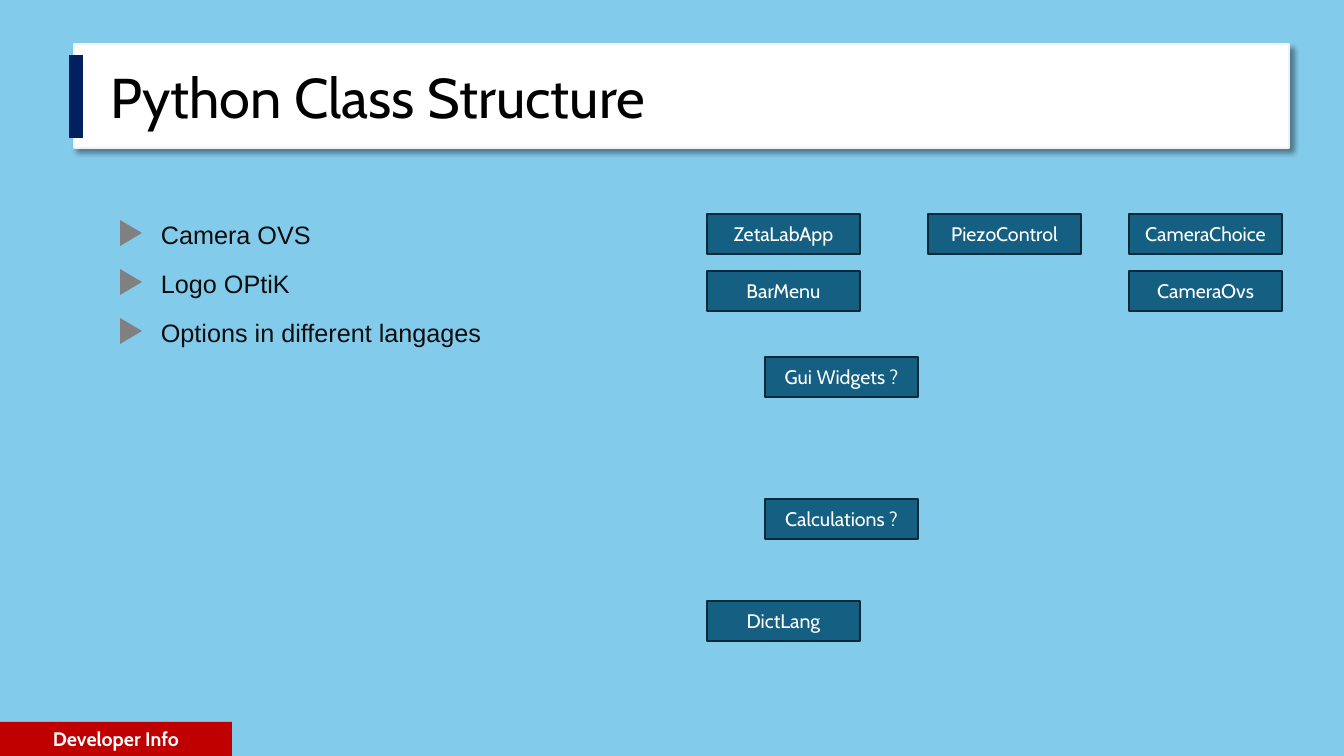
from lxml import etree
from pptx import Presentation
from pptx import util as u
from pptx.dml.color import RGBColor
from pptx.enum import shapes, text
from pptx.oxml import ns

EMU_PER_PX = 914400 / 100.8
COLORS = {
    "sky": "83CBEB", "white": "FFFFFF", "card_edge": "F2F2F2", "navy": "002060",
    "black": "000000", "ink": "0D0D0D", "marker": "808080",
    "class": "156082", "class_edge": "092A39", "footer": "C00000",
}
BULLETS = ["Camera OVS", "Logo OPtiK", "Options in different langages"]
BULLET_TOP, BULLET_PITCH = 214, 49
CLASS_WIDTH, CLASS_HEIGHT = 153, 40
CLASSES = [
    ("ZetaLabApp", 707, 214), ("PiezoControl", 928, 214), ("CameraChoice", 1129, 214),
    ("BarMenu", 707, 271), ("CameraOvs", 1129, 271),
    ("Gui Widgets ?", 765, 357), ("Calculations ?", 765, 499), ("DictLang", 707, 601),
]


def px(length):
    return u.Emu(round(length * EMU_PER_PX))


def color(name):
    return RGBColor.from_string(COLORS[name])


class SlideBuilder:
    """Draws styled elements, measured in px, on one slide."""

    def __init__(self, presentation):
        self.slide = presentation.slides.add_slide(presentation.slide_layouts[5])
        fill = self.slide.background.fill
        fill.solid()
        fill.fore_color.rgb = color("sky")

    def add_words(self, shape, words, size, font, ink, bold=False,
                  align=text.PP_ALIGN.LEFT, anchor=text.MSO_ANCHOR.TOP):
        frame = shape.text_frame
        frame.word_wrap = True
        frame.vertical_anchor = anchor
        paragraph = frame.paragraphs[0]
        paragraph.alignment = align
        run = paragraph.add_run()
        run.text = words
        run.font.size = u.Pt(size)
        run.font.name = font
        run.font.bold = bold
        run.font.color.rgb = color(ink)
        return paragraph

    def shape(self, box, fill, edge=None, kind=shapes.MSO_SHAPE.RECTANGLE):
        shape = self.slide.shapes.add_shape(kind, *map(px, box))
        shape.shadow.inherit = False
        shape.fill.solid()
        shape.fill.fore_color.rgb = color(fill)
        if edge:
            shape.line.color.rgb = color(edge)
            shape.line.width = u.Pt(1.5)
        else:
            shape.line.fill.background()
        return shape

    def label(self, box, words, fill, edge=None, bold=False):
        shape = self.shape(box, fill, edge)
        self.add_words(shape, words, 14, "Cabin", "white", bold,
                       text.PP_ALIGN.CENTER, text.MSO_ANCHOR.MIDDLE)

    def drop_shadow(self, shape):
        effects = shape.element.spPr.find(ns.qn("a:effectLst"))
        shadow = etree.SubElement(
            effects, ns.qn("a:outerShdw"), blurRad=str(u.Pt(4)), dist=str(u.Pt(3)),
            dir="2700000", algn="tl", rotWithShape="0")
        tint = etree.SubElement(shadow, ns.qn("a:srgbClr"), val=COLORS["black"])
        etree.SubElement(tint, ns.qn("a:alpha"), val="40000")

    def title(self, words):
        card = self.shape((74, 44, 1215, 104), "white", "card_edge")
        self.drop_shadow(card)
        title = self.slide.shapes.title
        card.element.addnext(title.element)
        title.left, title.top, title.width, title.height = map(px, (100, 65, 989, 78))
        paragraph = self.add_words(title, words, 40, "Cabin", "black")
        paragraph.line_spacing = 0.9
        title.text_frame.auto_size = text.MSO_AUTO_SIZE.NONE
        self.shape((69, 55, 14, 83), "navy")

    def bullet(self, top, words):
        marker = self.shape((118, top + 8, 26, 22), "marker",
                            kind=shapes.MSO_SHAPE.ISOSCELES_TRIANGLE)
        marker.rotation = 90
        box = self.slide.shapes.add_textbox(*map(px, (151, top, 580, 40)))
        self.add_words(box, words, 18, "Arial", "ink")
        box.text_frame.auto_size = text.MSO_AUTO_SIZE.SHAPE_TO_FIT_TEXT


def main():
    presentation = Presentation()
    presentation.slide_width, presentation.slide_height = px(1344), px(756)
    builder = SlideBuilder(presentation)
    builder.title("Python Class Structure")
    for row, words in enumerate(BULLETS):
        builder.bullet(BULLET_TOP + row * BULLET_PITCH, words)
    for name, left, top in CLASSES:
        builder.label((left, top, CLASS_WIDTH, CLASS_HEIGHT), name, "class", "class_edge")
    builder.label((0, 722, 232, 34), "Developer Info", "footer", bold=True)
    presentation.save("out.pptx")


if __name__ == "__main__":
    main()
